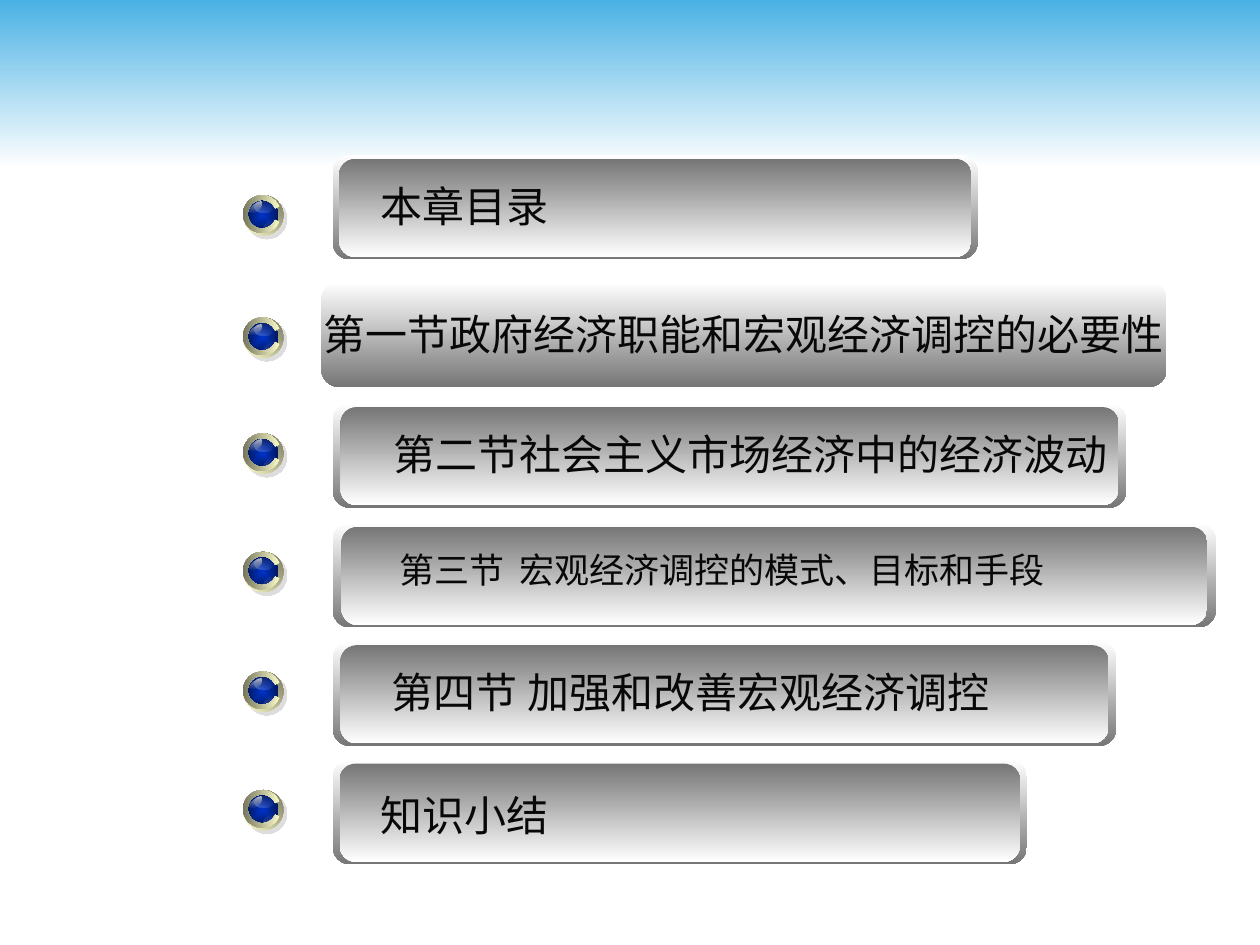
from pptx import Presentation
from pptx.dml.color import RGBColor
from pptx.enum.shapes import MSO_SHAPE
from pptx.enum.text import MSO_AUTO_SIZE
from pptx.oxml import parse_xml
from pptx.oxml.ns import nsdecls, qn
from pptx.util import Inches, Pt

RECTANGLE = MSO_SHAPE.RECTANGLE
ROUNDED = MSO_SHAPE.ROUNDED_RECTANGLE
OVAL = MSO_SHAPE.OVAL
BLOCK_ARC = MSO_SHAPE.BLOCK_ARC
FIT_SHAPE = MSO_AUTO_SIZE.SHAPE_TO_FIT_TEXT

COLORS = {
    "sky": "4AB1E4",
    "white": "FFFFFF",
    "grey": "767676",
    "cream": "FFFFCC",
    "olive": "76765E",
    "blue": "0033CC",
    "navy": "00185E",
    "shadow": "DDDDDD",
    "text": "080808",
}
FONT = "Arial"
BUTTON_HEIGHT = 0.83
BADGE_LEFT = 1.93
ARC_UNITS_PER_DEGREE = 0.6

# label, size, button (left, top, width), text (left, top, width), badge top, framed
ENTRIES = [
    ("本章目录", 24, (2.64, 1.23, 5.12), (3.02, 1.43, 4.02), 1.55, True),
    ("第一节政府经济职能和宏观经济调控的必要性", 24,
     (2.55, 2.24, 6.71), (2.57, 2.45, 6.93), 2.52, False),
    ("第二节社会主义市场经济中的经济波动", 24,
     (2.64, 3.2, 6.3), (3.12, 3.4, 5.68), 3.44, True),
    ("第三节\t宏观经济调控的模式、目标和手段", 20,
     (2.64, 4.15, 7.01), (3.17, 4.35, 5.71), 4.38, True),
    ("第四节 加强和改善宏观经济调控", 24,
     (2.64, 5.09, 6.22), (3.11, 5.29, 5.08), 5.33, True),
    ("知识小结", 24, (2.64, 6.03, 5.51), (3.02, 6.27, 5.13), 6.27, True),
]


def paint(shape, start, end, angle=None, alphas=(100, 100)):
    """Fill with a two-colour gradient; without an angle it spreads from the centre."""
    stops = "".join(
        f'<a:gs pos="{position}"><a:srgbClr val="{COLORS[name]}">'
        f'<a:alpha val="{alpha * 1000}"/></a:srgbClr></a:gs>'
        for position, name, alpha in zip((0, 100000), (start, end), alphas))
    if angle is None:
        direction = ('<a:path path="rect"><a:fillToRect l="50000" t="50000" '
                     'r="50000" b="50000"/></a:path>')
    else:
        direction = f'<a:lin ang="{angle * 60000}" scaled="0"/>'
    gradient = parse_xml(
        f'<a:gradFill {nsdecls("a")} rotWithShape="1">'
        f'<a:gsLst>{stops}</a:gsLst>{direction}</a:gradFill>')
    shape.shadow.inherit = False
    shape.line.fill.background()
    shape.fill.background()
    properties = shape._element.spPr
    properties.replace(properties.find(qn("a:noFill")), gradient)


def add_block(page, kind, left, top, width, height):
    return page.shapes.add_shape(
        kind, Inches(left), Inches(top), Inches(width), Inches(height))


def add_open_ring(page, left, top, size, opening, angle):
    """Draw a ring whose gap of 48 degrees faces the opening direction."""
    ring = add_block(page, BLOCK_ARC, left, top, size, size)
    ring.adjustments[0] = (opening + 24) % 360 * ARC_UNITS_PER_DEGREE
    ring.adjustments[1] = (opening - 24) % 360 * ARC_UNITS_PER_DEGREE
    ring.adjustments[2] = 0.12
    paint(ring, "cream", "olive", angle)
    return ring


def add_badge(page, left, top):
    rim = add_open_ring(page, left, top, 0.32, 225, 315)
    rim._element.spPr.find(qn("a:effectLst")).append(parse_xml(
        f'<a:outerShdw {nsdecls("a")} dist="{Pt(2.8)}" dir="2700000">'
        f'<a:srgbClr val="{COLORS["shadow"]}"/></a:outerShdw>'))
    ball = add_block(page, OVAL, left + 0.03, top + 0.03, 0.25, 0.25)
    paint(ball, "blue", "navy")
    add_open_ring(page, left, top, 0.3, 0, 180)

    gloss = add_block(page, OVAL, left + 0.09, top + 0.05, 0.14, 0.09)
    paint(gloss, "white", "grey", 315, (30, 0))
    for across, down, turn, alpha in ((0.04, 0.07, 320.2, 80), (0.15, 0.2, 140.2, 20)):
        glint = add_block(page, OVAL, left + across, top + down, 0.12, 0.05)
        glint.rotation = turn
        paint(glint, "white", "grey", 130, (alpha, 0))


def add_button(page, left, top, width, framed):
    frame = add_block(page, ROUNDED, left, top, width, BUTTON_HEIGHT)
    frame.adjustments[0] = 0.167
    paint(frame, "white", "grey", 90)
    if framed:
        face = add_block(page, ROUNDED, left + width * 0.01, top + 0.03,
                         width * 0.98, BUTTON_HEIGHT - 0.05)
        face.adjustments[0] = 0.167
        paint(face, "grey", "white", 90)


def add_label(page, label, size, left, top, width):
    box = page.shapes.add_textbox(
        Inches(left), Inches(top), Inches(width), Inches(0.4))
    frame = box.text_frame
    frame.word_wrap = True
    frame.auto_size = FIT_SHAPE
    frame.margin_left = frame.margin_right = 0
    frame.margin_top = frame.margin_bottom = 0
    para = frame.paragraphs[0]
    if "\t" in label:
        para._p.get_or_add_pPr().append(parse_xml(
            f'<a:tabLst {nsdecls("a")}>'
            f'<a:tab pos="{Inches(0.95)}" algn="l"/></a:tabLst>'))
    span = para.add_run()
    span.text = label
    span.font.name = FONT
    span.font.size = Pt(size)
    span.font.color.rgb = RGBColor.from_string(COLORS["text"])


def add_contents_page(deck):
    page = deck.slides.add_slide(deck.slide_layouts[6])
    banner = add_block(page, RECTANGLE, 0, 0, 10, 1.33)
    paint(banner, "sky", "white", 90)
    for label, size, button, text, badge_top, framed in ENTRIES:
        add_badge(page, BADGE_LEFT, badge_top)
        add_button(page, *button, framed)
        add_label(page, label, size, *text)


def main():
    deck = Presentation()
    deck.slide_width = Inches(10)
    deck.slide_height = Inches(7.5)
    add_contents_page(deck)
    deck.save("out.pptx")


if __name__ == "__main__":
    main()
